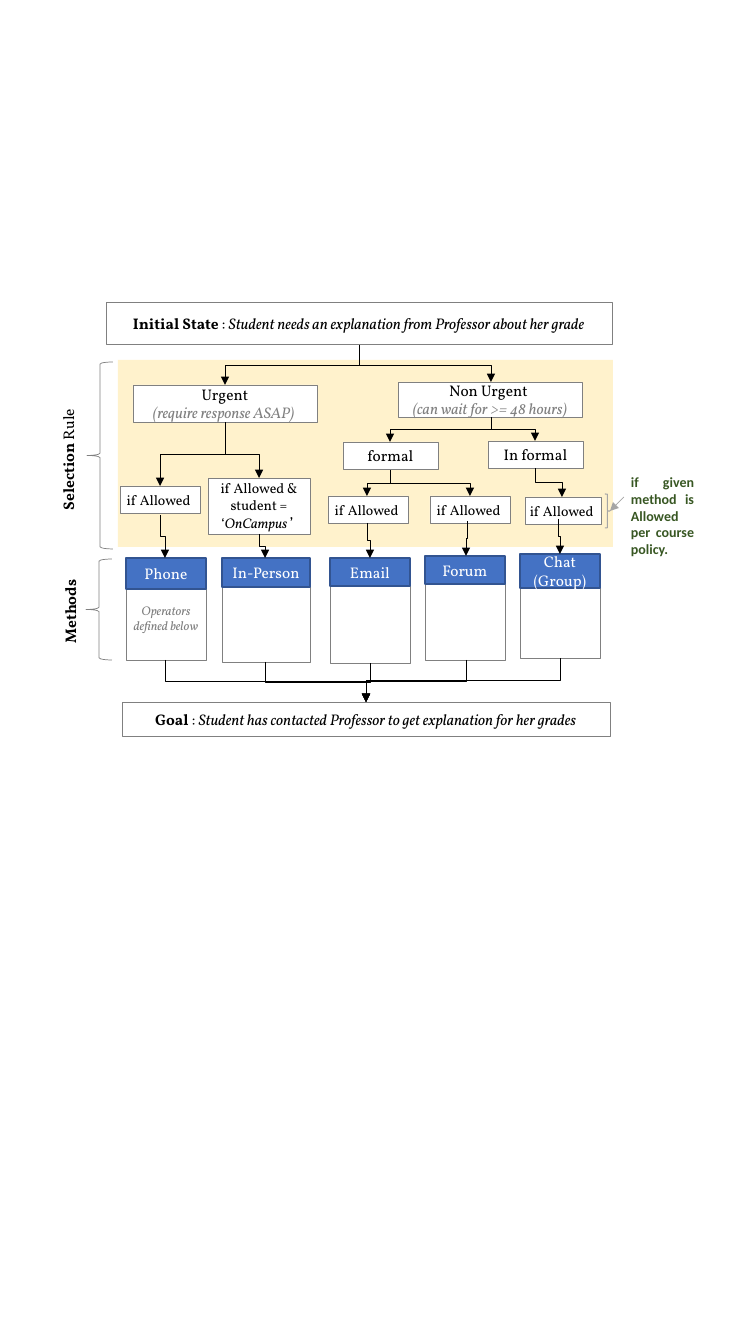
import lxml.etree
import pptx
import pptx.dml.color
import pptx.enum.shapes
import pptx.enum.text
import pptx.oxml.ns
import pptx.util

SCALE = 914400 / 100.8
BLACK, GRAY, WHITE = "000000", "808080", "FFFFFF"
ARROW_GRAY = "A5A5A5"
SHAPE = pptx.enum.shapes.MSO_SHAPE
CONNECTOR = pptx.enum.shapes.MSO_CONNECTOR
ALIGN = pptx.enum.text.PP_ALIGN
ANCHOR = pptx.enum.text.MSO_ANCHOR

BOLD = {"bold": True}
ITALIC = {"italic": True}
HINT = {"italic": True, "color": GRAY}


def px(*lengths):
    """Turn pixel lengths into EMU."""
    return [pptx.util.Emu(round(length * SCALE)) for length in lengths]


def rgb(value):
    """Turn a hex string into a colour."""
    return pptx.dml.color.RGBColor.from_string(value)


def add_child(parent, tag, **attributes):
    """Append a DrawingML element with the given attributes."""
    name = pptx.oxml.ns.qn(tag)
    return lxml.etree.SubElement(parent, name, attributes)


def write_text(shape, paragraphs, size=11, font="Vollkorn", color=BLACK,
               align=ALIGN.CENTER, anchor=ANCHOR.MIDDLE, margins=(0, 0, 0, 0)):
    """Fill a shape with paragraphs, each a list of (text, format) runs."""
    frame = shape.text_frame
    frame.word_wrap = True
    frame.vertical_anchor = anchor
    (frame.margin_left, frame.margin_top,
     frame.margin_right, frame.margin_bottom) = px(*margins)
    for index, runs in enumerate(paragraphs):
        paragraph = frame.add_paragraph() if index else frame.paragraphs[0]
        paragraph.alignment = align
        for text, changes in runs:
            run = paragraph.add_run()
            run.text = text
            values = {"name": font, "size": size, "color": color, **changes}
            run.font.color.rgb = rgb(values.pop("color"))
            values["size"] = pptx.util.Pt(values["size"])
            for name, value in values.items():
                setattr(run.font, name, value)


def add_box(shapes, box, paragraphs=(), fill=WHITE, line=GRAY, width=0.25,
            rotation=0, **text_format):
    """Add a filled rectangle with optional outline and text."""
    shape = shapes.add_shape(SHAPE.RECTANGLE, *px(*box))
    shape.shadow.inherit = False
    shape.rotation = rotation
    shape.fill.solid()
    shape.fill.fore_color.rgb = rgb(fill)
    if line:
        shape.line.color.rgb = rgb(line)
        shape.line.width = pptx.util.Pt(width)
    else:
        shape.line.fill.background()
    write_text(shape, paragraphs, **text_format)


def add_method(slide, box, header_height, name, details=()):
    """Add a grouped method card: a body under a blue header."""
    shapes = slide.shapes.add_group_shape().shapes
    left, top, width, _ = box
    add_box(shapes, box, details, size=9, margins=(0, 18, 0, 0))
    add_box(shapes, (left, top, width, header_height), [[(name, {})]],
            fill="4472C4", line="325491", width=1, color=WHITE,
            margins=(10, 5, 10, 5))


def add_brace(slide, box, color=GRAY, width=0.5, flip=True):
    """Add a curly brace, opening to the right when flipped."""
    shape = slide.shapes.add_shape(SHAPE.RIGHT_BRACE, *px(*box))
    shape.shadow.inherit = False
    shape.fill.background()
    shape.line.color.rgb = rgb(color)
    shape.line.width = pptx.util.Pt(width)
    if flip:
        shape._element.spPr.xfrm.set("flipH", "1")


def add_arrow(slide, kind, start, end, color=BLACK):
    """Add a thin connector that ends in a triangle."""
    connector = slide.shapes.add_connector(kind, *px(*start, *end))
    connector.line.color.rgb = rgb(color)
    connector.line.width = pptx.util.Pt(0.5)
    add_child(connector.line._get_or_add_ln(), "a:tailEnd", type="triangle")
    add_child(connector._element.spPr, "a:effectLst")
    return connector


def add_flow(slide, start, end, bend=0.5):
    """Add an elbow arrow that leaves downwards and arrives downwards."""
    (x1, y1), (x2, y2) = start, end
    center_x, center_y = (x1 + x2) / 2, (y1 + y2) / 2
    rightward = x2 > x1
    half_width = (y2 - y1) / 2 * (-1 if rightward else 1)
    half_height = abs(x2 - x1) / 2
    connector = add_arrow(slide, CONNECTOR.ELBOW,
                          (center_x - half_width, center_y - half_height),
                          (center_x + half_width, center_y + half_height))
    properties = connector._element.spPr
    properties.xfrm.set("rot", str((270 if rightward else 90) * 60000))
    adjustments = properties.find(".//" + pptx.oxml.ns.qn("a:avLst"))
    add_child(adjustments, "a:gd", name="adj1",
              fmla=f"val {round(bend * 100000)}")


def add_corner(slide, start, end):
    """Add an arrow that runs sideways and turns down once."""
    connector = add_arrow(slide, CONNECTOR.ELBOW, start, end)
    geometry = connector._element.spPr.find(pptx.oxml.ns.qn("a:prstGeom"))
    geometry.set("prst", "bentConnector2")


def add_states_and_rules(slide):
    """Add the state boxes and the selection rule boxes."""
    shapes = slide.shapes
    add_box(shapes, (118, 360, 495, 187), fill="FFF2CC", line=None)
    boxes = [
        ((106, 302, 506, 42), [[
            ("Initial State ", BOLD), (": ", {}),
            ("Student needs an explanation from Professor about her grade",
             ITALIC)]]),
        ((133, 385, 184, 37), [[("Urgent", {})],
                               [("(require response ASAP) ", HINT)]]),
        ((122, 702, 488, 34), [[
            ("Goal", BOLD), (" : ", {}),
            ("Student has contacted Professor to get explanation "
             "for her grades", ITALIC)]]),
        ((398, 382, 184, 35), [[("Non Urgent ", {})],
                               [("(can wait for >= 48 hours)", HINT)]]),
        ((343, 442, 95, 27), [[("formal", {})]]),
        ((488, 441, 95, 27), [[("In formal", {})]]),
    ]
    for box, paragraphs in boxes:
        add_box(shapes, box, paragraphs)
    for left, top, width in ((120, 486, 80), (430, 496, 80),
                             (328, 496, 80), (525, 497, 76)):
        add_box(shapes, (left, top, width, 27), [[("if Allowed ", {})]],
                size=10)
    add_box(shapes, (208, 478, 102, 56), [[
        ("if Allowed & student = ‘", {}), ("OnCampus ", ITALIC),
        ("’ ", {"size": 11})]], size=10)


def add_methods(slide):
    """Add the five method cards."""
    operators = [[("Operators defined below", HINT)]]
    add_method(slide, (126, 558, 80, 102), 31, "Phone", operators)
    add_method(slide, (330, 558, 80, 105), 28, "Email")
    add_method(slide, (425, 556, 80, 104), 28, "Forum")
    add_method(slide, (222, 558, 88, 104), 29, "In-Person")
    add_method(slide, (520, 554, 80, 104), 34, "Chat (Group)")


def add_flows(slide):
    """Connect the states, rules, methods and goal."""
    initial, urgent, non_urgent = (359, 345), (225, 422), (491, 417)
    formal, goal = (390, 470), (366, 702)
    add_flow(slide, initial, (225, 385))
    add_flow(slide, initial, (491, 382), 0.56)
    add_flow(slide, urgent, (160, 486))
    add_flow(slide, urgent, (259, 478), 0.58)
    add_flow(slide, non_urgent, (390, 442))
    add_flow(slide, formal, (367, 496))
    add_corner(slide, (442, 429), (535, 441))
    add_flow(slide, formal, (470, 496))
    add_flow(slide, (535, 468), (562, 497))
    for start, end in (((160, 515), (165, 558)), ((259, 534), (265, 558)),
                       ((367, 523), (370, 558)), ((467, 521), (466, 556)),
                       ((558, 519), (560, 554))):
        add_flow(slide, start, end)
    for method in ((165, 660), (466, 660), (370, 663), (265, 662), (560, 658)):
        add_flow(slide, method, goal)


def add_annotations(slide):
    """Add the side labels with braces and the policy note."""
    sections = [
        ((87, 362, 26, 187), (12, 448, 112, 23),
         [("Selection", BOLD), (" Rule", {})]),
        ((86, 559, 26, 101), (14, 600, 112, 23), [("Methods", BOLD)]),
    ]
    for brace, label, runs in sections:
        add_brace(slide, brace)
        add_box(slide.shapes, label, [runs], line=None, rotation=270)
    note = slide.shapes.add_textbox(*px(621, 468, 83, 95))
    write_text(note, [[("if given method is Allowed per course policy.", BOLD)]],
               size=10, font="Calibri", color="385723", align=ALIGN.JUSTIFY,
               margins=(10, 5, 10, 5))
    add_arrow(slide, CONNECTOR.STRAIGHT, (624, 497), (610, 511), ARROW_GRAY)
    add_brace(slide, (605, 494, 5, 34), ARROW_GRAY, 0.75, flip=False)


def main():
    """Build the decision flow slide and save it."""
    presentation = pptx.Presentation()
    presentation.slide_width, presentation.slide_height = px(756, 1344)
    slide = presentation.slides.add_slide(presentation.slide_layouts[6])
    add_states_and_rules(slide)
    add_methods(slide)
    add_flows(slide)
    add_annotations(slide)
    presentation.save("out.pptx")


main()
